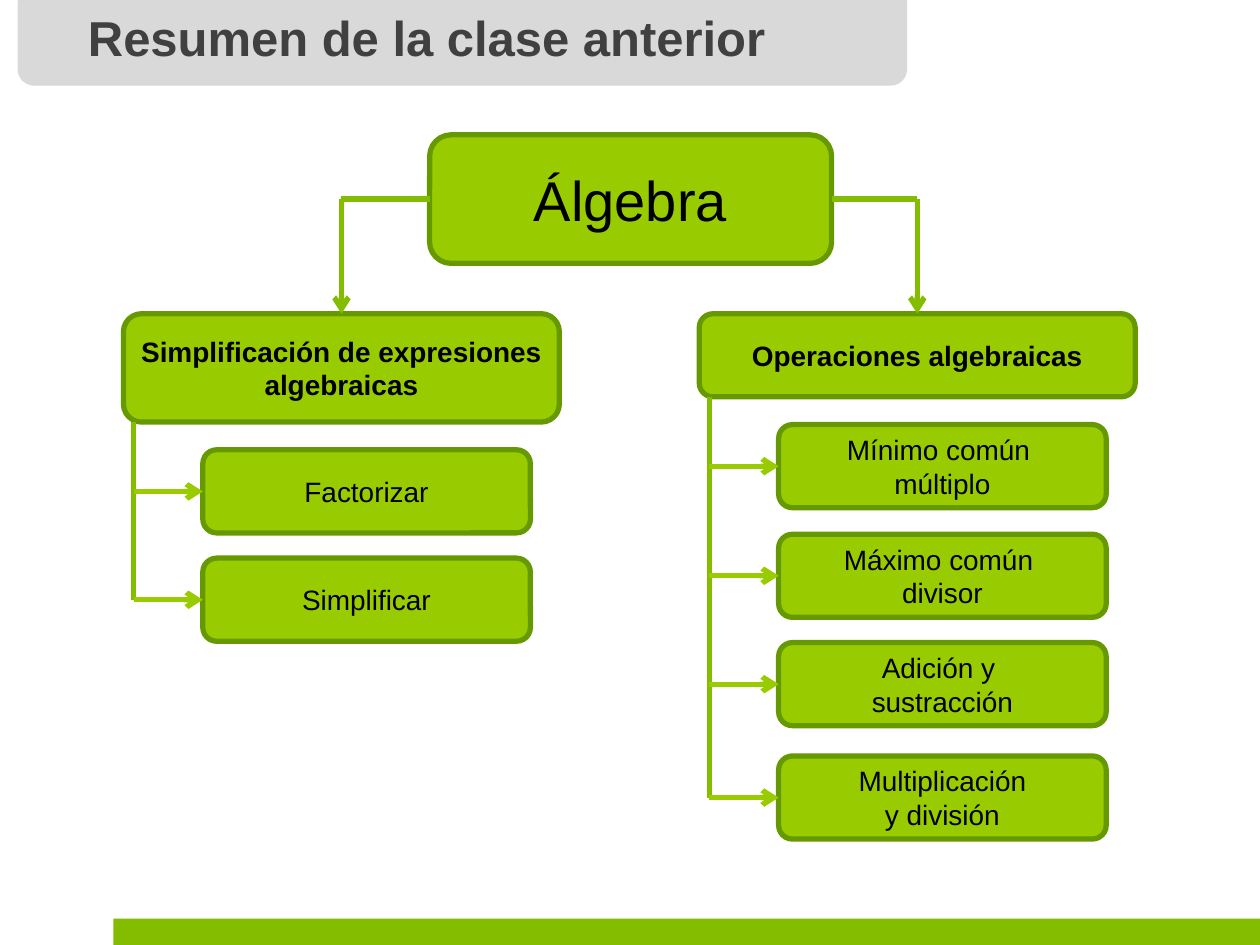
"""Build a summary slide with an algebra topic tree."""
import pptx
import pptx.dml.color
import pptx.enum.shapes
import pptx.enum.text
import pptx.oxml
import pptx.oxml.ns
import pptx.util

COLORS = {"leaf": "99CC00", "edge": "669900", "stem": "84BD00",
          "band": "D9D9D9", "title": "404040", "text": "000000"}
SHAPE = pptx.enum.shapes.MSO_SHAPE
rgb = pptx.dml.color.RGBColor.from_string

deck = pptx.Presentation()
deck.slide_width = pptx.util.Inches(10)
deck.slide_height = pptx.util.Inches(7.5)
col = deck.slide_width / 100
row = deck.slide_height / 75
page = deck.slides.add_slide(deck.slide_layouts[5])


def add_box(kind, left, top, width, height, fill, text="", size=16, bold=False, wrap=False):
    box = page.shapes.add_shape(kind, int(left * col), int(top * row),
                                int(width * col), int(height * row))
    box.shadow.inherit = False
    box.fill.solid()
    box.fill.fore_color.rgb = rgb(COLORS[fill])
    if not text:
        box.line.fill.background()
        return box
    box.line.color.rgb = rgb(COLORS["edge"])
    box.line.width = pptx.util.Pt(3)
    frame = box.text_frame
    frame.text = text
    frame.word_wrap = wrap
    frame.vertical_anchor = pptx.enum.text.MSO_ANCHOR.MIDDLE
    for para in frame.paragraphs:
        para.alignment = pptx.enum.text.PP_ALIGN.CENTER
        for span in para.runs:
            span.font.name = "Arial"
            span.font.size = pptx.util.Pt(size)
            span.font.bold = bold
            span.font.color.rgb = rgb(COLORS["text"])
    return box


def add_line(x1, y1, x2, y2, color, arrow=False):
    line = page.shapes.add_connector(pptx.enum.shapes.MSO_CONNECTOR.STRAIGHT,
                                     int(x1 * col), int(y1 * row), int(x2 * col), int(y2 * row))
    line.line.color.rgb = rgb(COLORS[color])
    line.line.width = pptx.util.Pt(3)
    namespace = pptx.oxml.ns.nsdecls("a")
    if arrow:
        line.line._get_or_add_ln().append(
            pptx.oxml.parse_xml(f'<a:tailEnd {namespace} type="arrow"/>'))
    line.element.spPr.append(pptx.oxml.parse_xml(f"<a:effectLst {namespace}/>"))
    return line


add_box(SHAPE.RECTANGLE, 9, 72.9, 91, 2.1, "stem")
band = add_box(SHAPE.ROUNDED_RECTANGLE, 1.4, -1.1, 70.6, 7.9, "band")

title = page.shapes.title
band.element.addnext(title.element)
title.left, title.top = int(5.9 * col), int(0.1 * row)
title.width, title.height = int(55.9 * col), int(5.7 * row)
title.text_frame.text = "Resumen de la clase anterior"
title.text_frame.word_wrap = False
title.text_frame.auto_size = pptx.enum.text.MSO_AUTO_SIZE.SHAPE_TO_FIT_TEXT
title.text_frame.vertical_anchor = pptx.enum.text.MSO_ANCHOR.TOP
heading = title.text_frame.paragraphs[0]
heading.alignment = pptx.enum.text.PP_ALIGN.CENTER
span = heading.runs[0]
span.font.name = "Arial"
span.font.size = pptx.util.Pt(28)
span.font.bold = True
span.font.color.rgb = rgb(COLORS["title"])

root_middle, branch_top, branch_width, topic_height = 15.8, 24.9, 34.6, 6.6
root = add_box(SHAPE.FLOWCHART_ALTERNATE_PROCESS, 34.1, 10.7, 31.9, 10.2,
               "leaf", "Álgebra", size=32)

branches = [
    (9.8, 8.6, "Simplificación de expresiones algebraicas", True, 1,
     [(35.7, "Factorizar"), (44.3, "Simplificar")]),
    (55.5, 6.6, "Operaciones algebraicas", False, 3,
     [(33.7, "Mínimo común \nmúltiplo"), (42.4, "Máximo común \ndivisor"),
      (51, "Adición y \nsustracción"), (60, "Multiplicación\ny división")]),
]
for left, height, name, wrap, root_side, topics in branches:
    branch = add_box(SHAPE.FLOWCHART_ALTERNATE_PROCESS, left, branch_top, branch_width, height,
                     "leaf", name, bold=True, wrap=wrap)
    center = left + branch_width / 2
    arm = add_line(50, root_middle, center, root_middle, "stem")
    arm.begin_connect(root, root_side)
    drop = add_line(center, root_middle, center, branch_top, "stem", arrow=True)
    drop.end_connect(branch, 0)

    trunk = left + 0.8
    add_line(trunk, branch_top + height, trunk, topics[-1][0] + topic_height / 2, "stem")
    for top, label in topics:
        topic = add_box(SHAPE.FLOWCHART_ALTERNATE_PROCESS, left + 6.3, top, 26, topic_height,
                        "leaf", label)
        middle = top + topic_height / 2
        twig = add_line(trunk, middle, left + 6.3, middle, "leaf", arrow=True)
        twig.end_connect(topic, 1)

deck.save("out.pptx")
